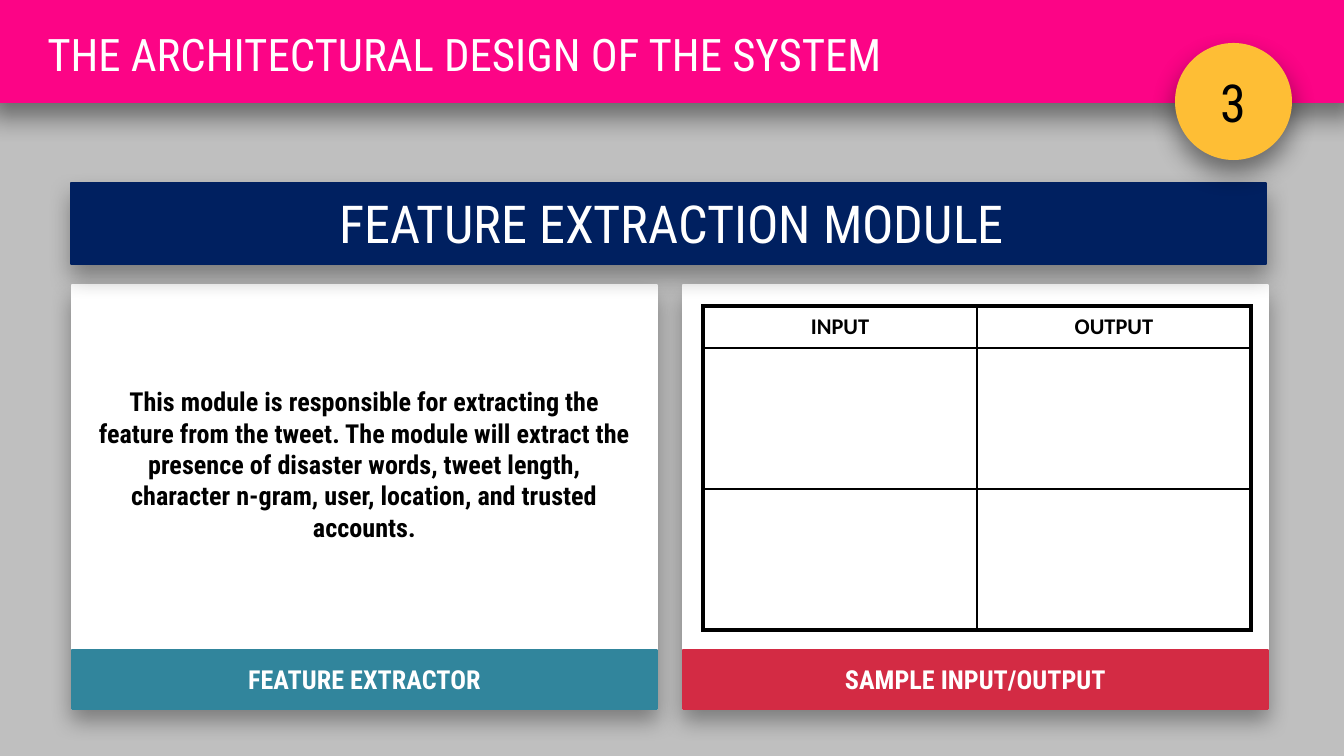
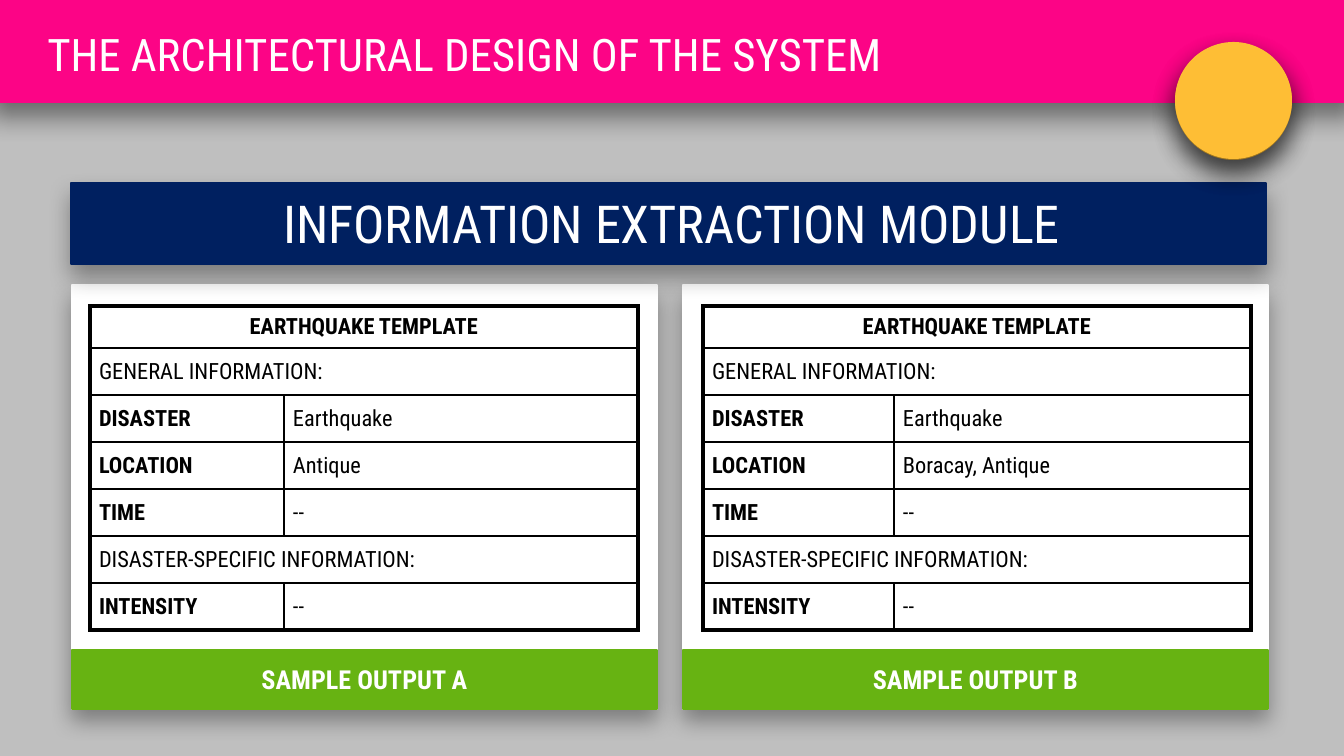
from lxml import etree
from pptx import Presentation
from pptx import util as u
from pptx.dml.color import RGBColor
from pptx.enum import shapes, text
from pptx.oxml import ns

PX = 914400 / 134.4
FONT = "Roboto Condensed"
COLOURS = {
    "back": "BFBFBF", "pink": "FC0486", "navy": "002060", "gold": "FEBE35",
    "teal": "31859C", "red": "D32B44", "green": "67B312",
    "white": "FFFFFF", "black": "000000",
}
# Shadow strength in percent, blur and distance in points
SOFT, DEEP = (35, 12, 6), (45, 14, 7)
RECT, OVAL = shapes.MSO_SHAPE.RECTANGLE, shapes.MSO_SHAPE.OVAL
CENTRE, LEFT = text.PP_ALIGN.CENTER, text.PP_ALIGN.LEFT


def add_box(page, kind, at, colour, outlined=True, shadow=None):
    """Add a filled shape at a pixel rectangle, with optional line and shadow."""
    box = page.shapes.add_shape(kind, *[round(n * PX) for n in at])
    box.fill.solid()
    box.fill.fore_color.rgb = RGBColor.from_string(COLOURS[colour])
    if outlined:
        box.line.color.rgb = RGBColor.from_string(COLOURS[colour])
        box.line.width = u.Pt(0.75)
    else:
        box.line.fill.background()
    box.shadow.inherit = False
    if shadow:
        alpha, blur, distance = shadow
        effects = box.element.spPr.find(ns.qn("a:effectLst"))
        outer = etree.SubElement(
            effects, ns.qn("a:outerShdw"), blurRad=str(u.Pt(blur)),
            dist=str(u.Pt(distance)), dir="5400000", rotWithShape="0")
        tint = etree.SubElement(outer, ns.qn("a:srgbClr"), val=COLOURS["black"])
        etree.SubElement(tint, ns.qn("a:alpha"), val=str(alpha * 1000))
    return box


def write(frame, words, size, colour, bold=False, align=CENTRE, font=FONT):
    """Write one run of text into the first paragraph of a frame."""
    para = frame.paragraphs[0]
    para.alignment = align
    span = para.add_run()
    span.text = words
    span.font.size = u.Pt(size)
    span.font.name = font
    span.font.bold = bold
    span.font.color.rgb = RGBColor.from_string(COLOURS[colour])


def_rows = [
    ["EARTHQUAKE TEMPLATE", None],
    ["GENERAL INFORMATION:", None],
    ["DISASTER", "Earthquake"],
    ["LOCATION", "Antique"],
    ["TIME", "--"],
    ["DISASTER-SPECIFIC INFORMATION:", None],
    ["INTENSITY", "--"],
]
quake_a = def_rows
quake_b = [["LOCATION", "Boracay, Antique"] if row[0] == "LOCATION" else row
           for row in def_rows]
in_out = [["INPUT", "OUTPUT"], ["", ""], ["", ""]]
extractor_words = (
    "This module is responsible for extracting the feature from the tweet. "
    "The module will extract the presence of disaster words, tweet length, "
    "character n-gram, user, location, and trusted accounts.")

# Panels: left edge, label, label colour, then words or a table
left, right = 72, 683
slides = [
    {"heading": "FEATURE EXTRACTION MODULE", "number": "3", "panels": [
        {"x": left, "label": "FEATURE EXTRACTOR", "colour": "teal",
         "words": extractor_words},
        {"x": right, "label": "SAMPLE INPUT/OUTPUT", "colour": "red",
         "rows": in_out, "table_x": 703, "columns": (274, 274),
         "inner": 1.5, "font": "Calibri"},
    ]},
    {"heading": "INFORMATION EXTRACTION MODULE", "number": None, "panels": [
        {"x": right, "label": "SAMPLE OUTPUT B", "colour": "green",
         "rows": quake_b, "table_x": 703, "columns": (191, 357),
         "inner": 1, "font": FONT},
        {"x": left, "label": "SAMPLE OUTPUT A", "colour": "green",
         "rows": quake_a, "table_x": 90, "columns": (194, 354),
         "inner": 1, "font": FONT},
    ]},
]
TABLE_TOP, HEADER_HEIGHT, BODY_HEIGHT, OUTER = 306, 42, 282, 2.25

deck = Presentation()
deck.slide_width = round(1344 * PX)
deck.slide_height = round(756 * PX)

for content in slides:
    page = deck.slides.add_slide(deck.slide_layouts[6])
    page.background.fill.solid()
    page.background.fill.fore_color.rgb = RGBColor.from_string(COLOURS["back"])

    for panel in content["panels"]:
        x = panel["x"]
        add_box(page, RECT, (x, 285, 585, 424), "white", shadow=SOFT)
        label = add_box(page, RECT, (x, 650, 585, 59), panel["colour"])
        write(label.text_frame, panel["label"], 14, "white", bold=True)
        if "words" in panel:
            body = add_box(page, RECT, (x + 13, 298, 559, 332), "white")
            write(body.text_frame, panel["words"], 14, "black", bold=True)
            continue

        rows, columns = panel["rows"], panel["columns"]
        last_row, last_col = len(rows) - 1, len(columns) - 1
        frame = page.shapes.add_table(
            len(rows), len(columns), round(panel["table_x"] * PX),
            round(TABLE_TOP * PX), round(sum(columns) * PX),
            round((HEADER_HEIGHT + BODY_HEIGHT) * PX))
        table = frame.table
        table.first_row = table.horz_banding = False
        for column, width in zip(table.columns, columns):
            column.width = round(width * PX)
        for r, row in enumerate(rows):
            height = BODY_HEIGHT / last_row if r else HEADER_HEIGHT
            table.rows[r].height = round(height * PX)
            merged = row[-1] is None
            if merged:
                table.cell(r, 0).merge(table.cell(r, last_col))
            for c, words in enumerate(row):
                cell = table.cell(r, c)
                cell.vertical_anchor = text.MSO_ANCHOR.MIDDLE
                if r:
                    cell.margin_left = cell.margin_right = round(9 * PX)
                    cell.margin_top = cell.margin_bottom = 0
                at_edge = {"lnL": c == 0, "lnR": c == last_col or merged,
                           "lnT": r == 0, "lnB": r == last_row}
                if words is None:
                    del at_edge["lnL"]
                for side, is_outer in at_edge.items():
                    width = OUTER if is_outer else panel["inner"]
                    border = etree.SubElement(
                        cell._tc.get_or_add_tcPr(), ns.qn("a:" + side),
                        w=str(u.Pt(width)))
                    paint = etree.SubElement(border, ns.qn("a:solidFill"))
                    etree.SubElement(paint, ns.qn("a:srgbClr"),
                                     val=COLOURS["black"])
                cell.fill.solid()
                cell.fill.fore_color.rgb = RGBColor.from_string(COLOURS["white"])
                if words:
                    is_label = r == 0 or (c == 0 and not merged)
                    write(cell.text_frame, words, 12, "black", bold=is_label,
                          align=LEFT if r else CENTRE, font=panel["font"])

    add_box(page, RECT, (71, 183, 1195, 81), "navy", shadow=SOFT)
    heading = add_box(page, RECT, (90, 185, 1163, 75), "navy")
    write(heading.text_frame, content["heading"], 28, "white")

    add_box(page, RECT, (-11, -132, 1367, 235), "pink", outlined=False,
            shadow=DEEP)
    title = add_box(page, RECT, (34, 20, 1078, 67), "pink", outlined=False)
    title.text_frame.vertical_anchor = text.MSO_ANCHOR.TOP
    write(title.text_frame, "THE ARCHITECTURAL DESIGN OF THE SYSTEM", 24,
          "white", align=LEFT)

    badge = add_box(page, OVAL, (1175, 43, 117, 117), "gold", outlined=False,
                    shadow=DEEP)
    if content["number"]:
        write(badge.text_frame, content["number"], 28, "black")
    else:
        add_box(page, OVAL, (1175, 42, 117, 117), "gold", outlined=False,
                shadow=DEEP)

deck.save("out.pptx")
